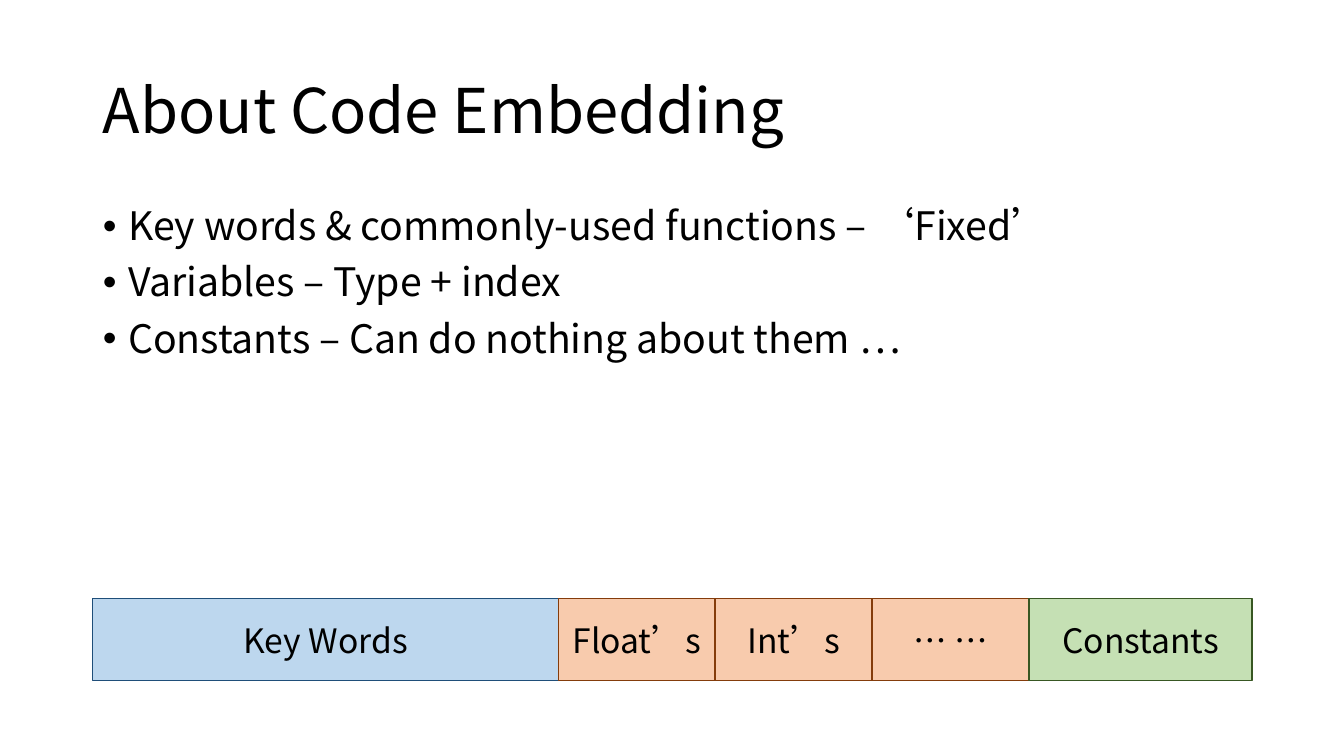
from dataclasses import dataclass

from lxml import etree
from pptx import Presentation
from pptx.dml.color import RGBColor
from pptx.enum.shapes import MSO_SHAPE
from pptx.enum.text import MSO_ANCHOR, MSO_AUTO_SIZE, PP_ALIGN
from pptx.oxml.ns import qn
from pptx.util import Emu, Inches, Pt

RECT = MSO_SHAPE.RECTANGLE
TOP, MIDDLE = MSO_ANCHOR.TOP, MSO_ANCHOR.MIDDLE
LEFT, CENTER = PP_ALIGN.LEFT, PP_ALIGN.CENTER
NO_FIT = MSO_AUTO_SIZE.NONE

WIDTH, HEIGHT = Inches(13.33), Inches(7.5)
MARGIN, SPAN = Inches(0.92), Inches(11.5)
COL, ROW = SPAN / 100, HEIGHT / 100


@dataclass(frozen=True)
class Tone:
    fill: str
    line: str


@dataclass(frozen=True)
class Theme:
    font: str = "Noto Sans CJK SC"
    ink: str = "000000"
    title: int = 44
    body: int = 28
    label: int = 24
    blue: Tone = Tone("BDD7EE", "1F4E79")
    orange: Tone = Tone("F8CBAD", "843C0B")
    green: Tone = Tone("C5E0B4", "385723")


@dataclass(frozen=True)
class Part:
    text: str
    cols: float
    tone: Tone


THEME = Theme()
TITLE = "About Code Embedding"
POINTS = (
    "Key words & commonly-used functions – ‘Fixed’",
    "Variables – Type + index",
    "Constants – Can do nothing about them …",
)
PARTS = (
    Part("Key Words", 40.15, THEME.blue),
    Part("Float’s", 13.53, THEME.orange),
    Part("Int’s", 13.53, THEME.orange),
    Part("… …", 13.53, THEME.orange),
    Part("Constants", 19.26, THEME.green),
)


def color(code: str) -> RGBColor:
    return RGBColor.from_string(code)


def style(para, size: int, align) -> None:
    para.alignment = align
    font = para.font
    font.size, font.name, font.bold = Pt(size), THEME.font, False
    font.color.rgb = color(THEME.ink)
    latin = font._element.find(qn("a:latin"))
    east = etree.Element(qn("a:ea"), typeface=THEME.font)
    latin.addnext(east)


def bullet(para) -> None:
    props = para._p.get_or_add_pPr()
    props.set("marL", str(Inches(0.25)))
    props.set("indent", str(Inches(-0.25)))
    etree.SubElement(props, qn("a:buFont"), typeface="Arial")
    etree.SubElement(props, qn("a:buChar"), char="•")


def place(shape, row: float, rows: float, anchor):
    """Fit a placeholder to the full span and return its text frame."""
    shape.left, shape.top = MARGIN, Emu(round(row * ROW))
    shape.width, shape.height = SPAN, Emu(round(rows * ROW))
    frame = shape.text_frame
    frame.auto_size, frame.word_wrap = NO_FIT, True
    frame.vertical_anchor = anchor
    return frame


def add_title(shape) -> None:
    frame = place(shape, 5.33, 19.33, MIDDLE)
    frame.text = TITLE
    para = frame.paragraphs[0]
    para.line_spacing = 0.9
    style(para, THEME.title, LEFT)


def add_points(shape) -> None:
    frame = place(shape, 26.67, 63.47, TOP)
    frame.text = "\n".join(POINTS)
    for i, para in enumerate(frame.paragraphs):
        bullet(para)
        para.line_spacing = 0.9
        para.space_before = Pt(10 if i else 0)
        style(para, THEME.body, LEFT)


def add_strip(slide) -> None:
    group = slide.shapes.add_group_shape()
    col = 0.0
    for part in PARTS:
        box = group.shapes.add_shape(
            RECT,
            Emu(round(MARGIN + col * COL)),
            Emu(round(79.2 * ROW)),
            Emu(round(part.cols * COL)),
            Emu(round(10.8 * ROW)),
        )
        box.shadow.inherit = False
        box.fill.solid()
        box.fill.fore_color.rgb = color(part.tone.fill)
        box.line.color.rgb = color(part.tone.line)
        box.line.width = Pt(1)
        frame = box.text_frame
        frame.text, frame.word_wrap = part.text, True
        frame.vertical_anchor = MIDDLE
        style(frame.paragraphs[0], THEME.label, CENTER)
        col += part.cols


def main() -> None:
    deck = Presentation()
    deck.slide_width, deck.slide_height = WIDTH, HEIGHT
    slide = deck.slides.add_slide(deck.slide_layouts[1])
    add_title(slide.shapes.title)
    add_points(slide.placeholders[1])
    add_strip(slide)
    deck.save("out.pptx")


if __name__ == "__main__":
    main()
